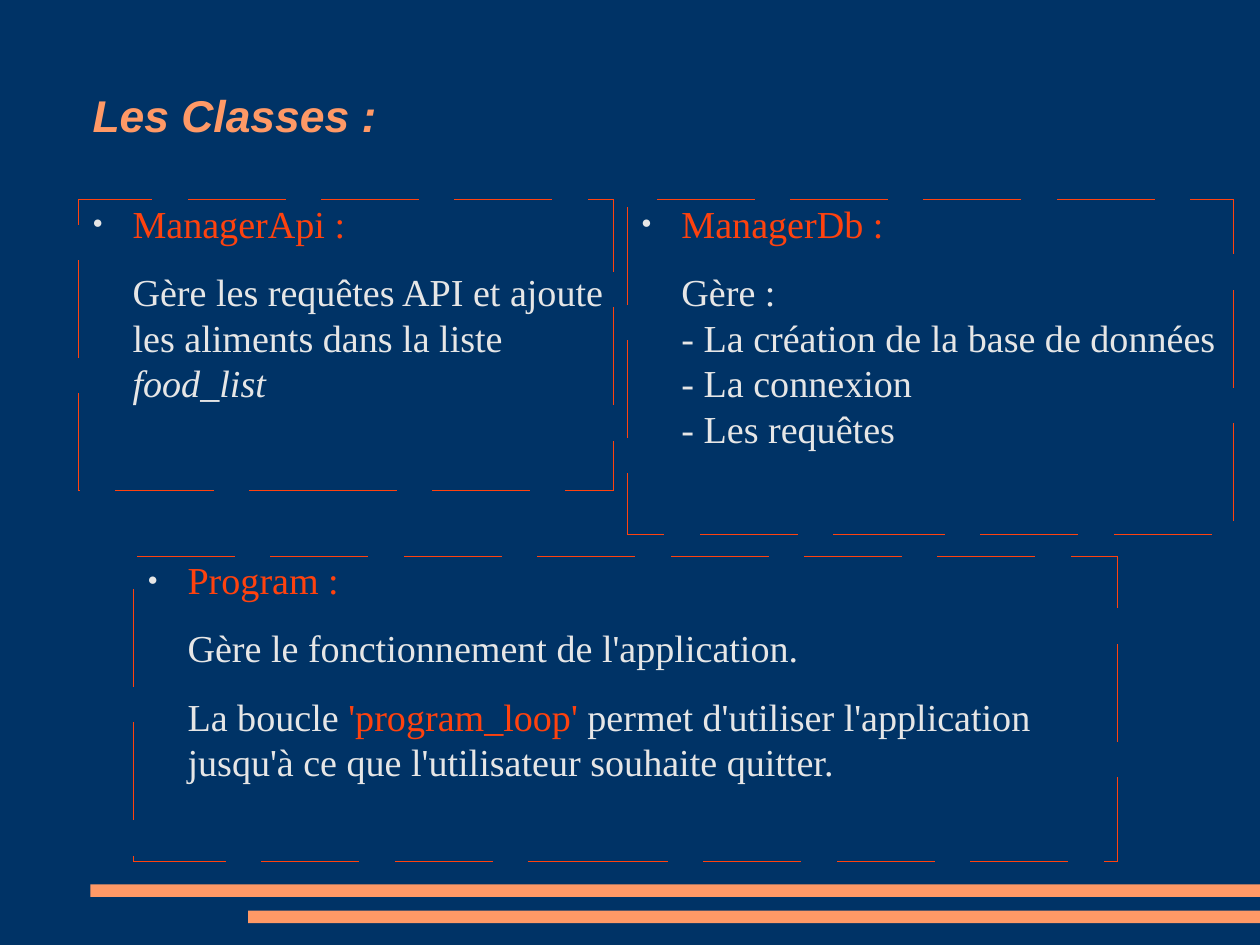
from lxml import etree
from pptx import Presentation, util as u
from pptx.dml.color import RGBColor
from pptx.enum import shapes, text
from pptx.oxml.ns import qn

NAVY = RGBColor(0x00, 0x33, 0x66)
ORANGE = RGBColor(0xFF, 0x99, 0x66)
RED = RGBColor(0xFF, 0x42, 0x0E)
LIGHT = RGBColor(0xE6, 0xE6, 0xE6)

deck = Presentation()
deck.slide_width, deck.slide_height = u.Cm(28), u.Cm(21)
slide = deck.slides.add_slide(deck.slide_layouts[6])
slide.background.fill.solid()
slide.background.fill.fore_color.rgb = NAVY


def share(left, top, width, height):
    """Turn percentages of the slide into lengths."""
    across, down = deck.slide_width / 100, deck.slide_height / 100
    return [int(left * across), int(top * down), int(width * across), int(height * down)]


def add_words(paragraph, words, color, size=24, face="Times New Roman", **styles):
    run = paragraph.add_run()
    run.text = words
    run.font.color.rgb = color
    for name, value in {"size": u.Pt(size), "name": face, **styles}.items():
        setattr(run.font, name, value)


FRAME = {"word_wrap": True, "margin_left": 0, "margin_top": 0,
         "margin_right": 0, "margin_bottom": 0}

# Footer bars, running to the right edge
for left, top in [(7.17, 93.59), (19.69, 96.37)]:
    bar = slide.shapes.add_shape(shapes.MSO_SHAPE.RECTANGLE, *share(left, top, 100 - left, 1.33))
    bar.shadow.inherit = False
    bar.fill.solid()
    bar.fill.fore_color.rgb = ORANGE
    bar.line.fill.background()

# Title
heading = slide.shapes.add_textbox(*share(7.35, 3.75, 85.39, 16.69)).text_frame
for name, value in {**FRAME, "vertical_anchor": text.MSO_ANCHOR.MIDDLE}.items():
    setattr(heading, name, value)
add_words(heading.paragraphs[0], "Les Classes :", ORANGE, 28, "Arial", bold=True, italic=True)

# Class boxes: place, class name, then paragraphs made of (words, colour, styles)
classes = [
    ((6.26, 21.16, 42.47, 30.71), "ManagerApi :", [
        [("Gère les requêtes API et ajoute les aliments dans la liste ", LIGHT, {}),
         ("food_list", LIGHT, {"italic": True})]]),
    ((49.82, 21.16, 48.09, 35.43), "ManagerDb :", [
        [("Gère :\n- La création de la base de données\n- La connexion\n- Les requêtes",
          LIGHT, {})]]),
    ((10.62, 58.89, 78.04, 32.29), "Program :", [
        [("Gère le fonctionnement de l'application.", LIGHT, {})],
        [("La boucle ", LIGHT, {}), ("'program_loop'", RED, {}),
         (" permet d'utiliser l'application jusqu'à ce que l'utilisateur souhaite quitter.",
          LIGHT, {})]]),
]
bullet = [("buClr", {}), ("buSzPct", {"val": "45000"}),
          ("buFont", {"typeface": "Arial"}), ("buChar", {"char": "●"})]

for place, class_name, details in classes:
    box = slide.shapes.add_textbox(*share(*place))
    box.line.color.rgb = RED
    box.line.width = 0
    # Fine dashes on a hairline
    dashes = etree.SubElement(box.element.spPr.find(qn("a:ln")), qn("a:custDash"))
    etree.SubElement(dashes, qn("a:ds"), d="8000000", sp="3000000")
    body = box.text_frame
    for name, value in FRAME.items():
        setattr(body, name, value)

    for row, pieces in enumerate([[(class_name, RED, {})], *details]):
        paragraph = body.add_paragraph() if row else body.paragraphs[0]
        paragraph.space_after = u.Pt(14.2)
        for words, color, styles in pieces:
            for number, line in enumerate(words.split("\n")):
                if number:
                    paragraph.add_line_break()
                add_words(paragraph, line, color, **styles)

        # Hanging bullet on the class name only
        layout = paragraph._p.get_or_add_pPr()
        layout.set("marL", str(u.Inches(0.47)))
        layout.set("indent", str(0 if row else u.Inches(-0.35)))
        for tag, values in [] if row else bullet:
            mark = etree.SubElement(layout, qn("a:" + tag), values)
            if tag == "buClr":
                etree.SubElement(mark, qn("a:srgbClr"), val=str(LIGHT))

deck.save("out.pptx")
